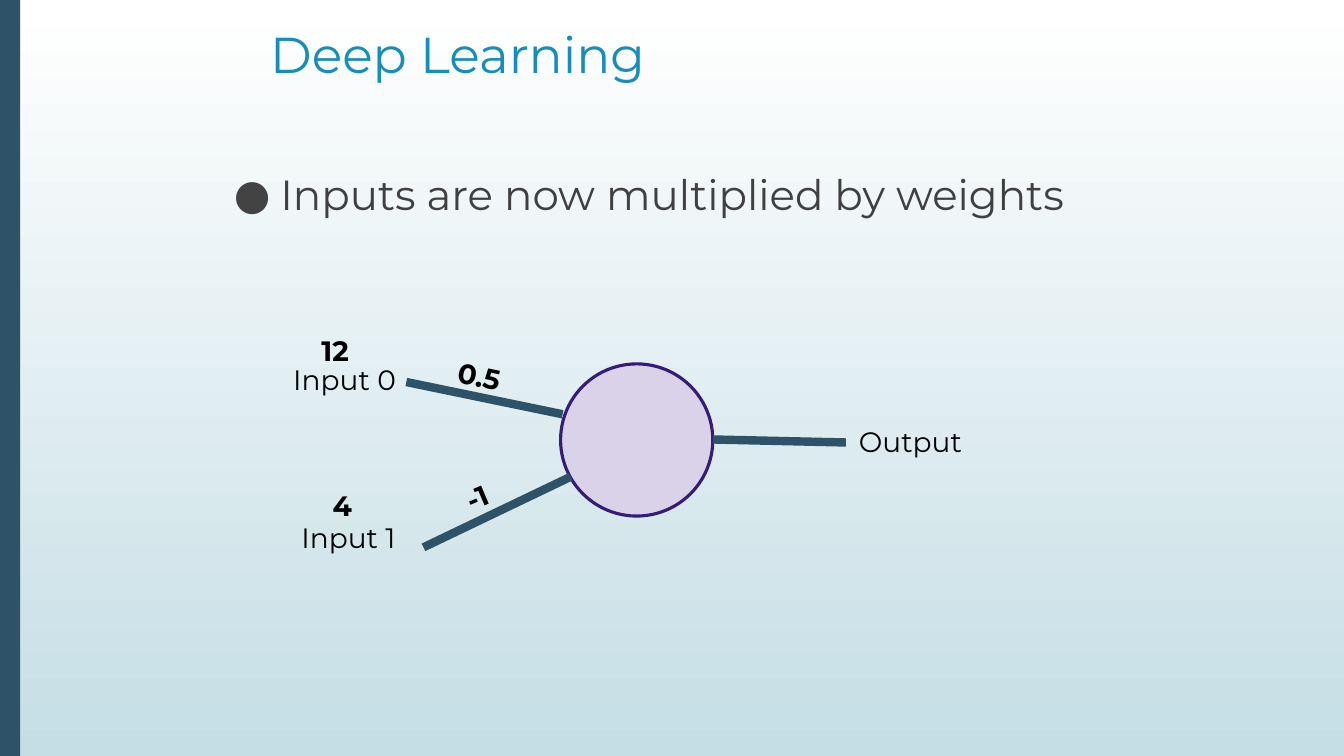
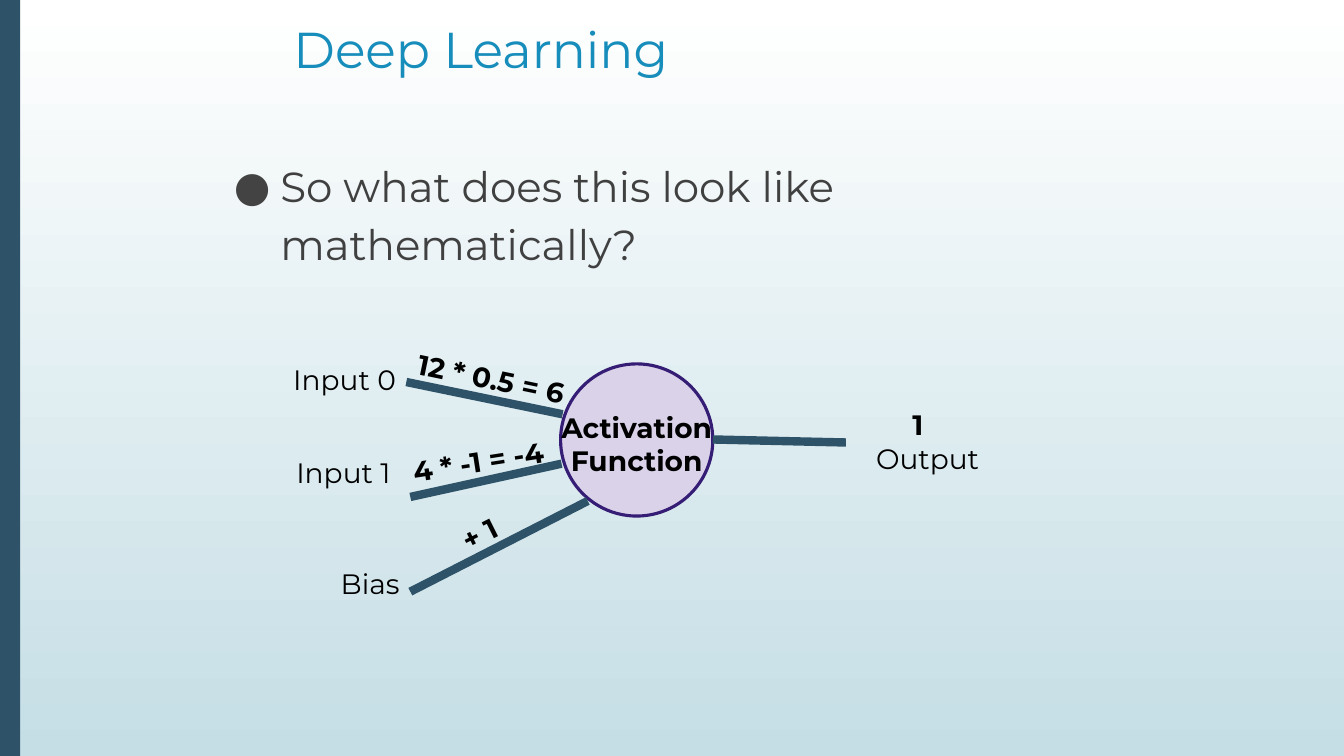
from dataclasses import dataclass

from lxml.etree import SubElement
from pptx import Presentation
from pptx.dml.color import RGBColor
from pptx.enum.shapes import MSO_CONNECTOR, MSO_SHAPE
from pptx.enum.text import MSO_ANCHOR, MSO_AUTO_SIZE, PP_ALIGN
from pptx.oxml.ns import qn
from pptx.presentation import Presentation as Deck
from pptx.shapes.base import BaseShape
from pptx.slide import Slide
from pptx.text.text import TextFrame
from pptx.util import Emu, Pt

SCALE = 9144  # EMU in one px, 100 px to the inch
WIDTH, HEIGHT = 1333, 750


@dataclass(frozen=True)
class Theme:
    font: str = "Montserrat"
    top: str = "FFFFFF"
    base: str = "C5DEE5"
    band: str = "2E5369"
    title: str = "178DBB"
    body: str = "404040"
    bullet: str = "434343"
    label: str = "000000"
    node: str = "D9D2E9"
    rim: str = "351C75"
    title_size: int = 36
    body_size: int = 30
    label_size: int = 20
    rim_width: float = 2.25
    link_width: float = 6


@dataclass(frozen=True)
class Box:
    x: int
    y: int
    w: int
    h: int


@dataclass(frozen=True)
class Link:
    x1: int
    y1: int
    x2: int
    y2: int


@dataclass(frozen=True)
class Label:
    text: str
    x: int
    y: int
    w: int = 228
    bold: bool = False
    turn: float = 0
    align: PP_ALIGN = PP_ALIGN.LEFT


@dataclass(frozen=True)
class Page:
    title: Box
    body: Box
    point: str
    links: tuple[Link, ...]
    labels: tuple[Label, ...]


THEME = Theme()
BAND = Box(0, 0, 20, HEIGHT)
NODE = Box(556, 361, 151, 151)
LABEL_H = 67

# Parts of the neuron that both slides show
LINKS = (Link(558, 411, 403, 379), Link(839, 439, 707, 436))
LABELS = (Label("Input 0", 281, 350),)

PAGES = (
    Page(
        title=Box(258, 13, 852, 63),
        body=Box(201, 150, 932, 441),
        point="Inputs are now multiplied by weights",
        links=(Link(566, 473, 420, 543),),
        labels=(
            Label("Input 1", 289, 506),
            Label("Output", 842, 411),
            Label("0.5", 442, 355, 151, bold=True, turn=11.8),
            Label("-1", 451, 444, 151, bold=True, turn=337),
            Label("12", 309, 321, 59, bold=True),
            Label("4", 320, 475, 48, bold=True),
        ),
    ),
    Page(
        title=Box(281, 8, 852, 63),
        body=Box(201, 142, 932, 449),
        point="So what does this look like mathematically?",
        links=(Link(557, 460, 407, 493), Link(583, 497, 407, 587)),
        labels=(
            Label("Input 1", 284, 442),
            Label("Activation\nFunction", 544, 397, 175, bold=True,
                  align=PP_ALIGN.CENTER),
            Label("12 * 0.5 = 6", 402, 350, 181, bold=True, turn=11.8),
            Label("4 * -1 = -4", 400, 428, 186, bold=True, turn=351.1),
            Label("Output", 859, 428),
            Label("1", 895, 394, 131, bold=True),
            Label("Bias", 328, 552),
            Label("+ 1", 444, 473, 186, bold=True, turn=333.5),
        ),
    ),
)


def px(num: int) -> Emu:
    return Emu(num * SCALE)


def rgb(code: str) -> RGBColor:
    return RGBColor.from_string(code)


def place(shape: BaseShape, box: Box) -> None:
    shape.left, shape.top = px(box.x), px(box.y)
    shape.width, shape.height = px(box.w), px(box.h)


def write(frame: TextFrame, text: str, *, size: int, color: str,
          bold: bool = False, align: PP_ALIGN = PP_ALIGN.LEFT,
          space: float = 1.0) -> None:
    """Fill a frame with one paragraph for each line of the text."""
    frame.word_wrap = True
    frame.auto_size = MSO_AUTO_SIZE.NONE
    frame.vertical_anchor = MSO_ANCHOR.TOP
    frame.margin_left = frame.margin_right = px(10)
    frame.margin_top = frame.margin_bottom = px(10)
    frame.text = text
    for para in frame.paragraphs:
        para.alignment = align
        para.line_spacing = space
        para.space_before = Pt(0)
        for run in para.runs:
            run.font.name = THEME.font
            run.font.size = Pt(size)
            run.font.bold = bold
            run.font.color.rgb = rgb(color)


def add_dot(frame: TextFrame) -> None:
    """Give the first paragraph a round bullet and a hanging indent."""
    props = frame.paragraphs[0]._p.get_or_add_pPr()
    props.set("marL", str(px(67)))
    props.set("indent", str(px(-46)))
    tint = SubElement(props, qn("a:buClr"))
    SubElement(tint, qn("a:srgbClr"), val=THEME.bullet)
    SubElement(props, qn("a:buFont"), typeface=THEME.font)
    SubElement(props, qn("a:buChar"), char="●")


def add_shape(slide: Slide, kind: MSO_SHAPE, box: Box, fill: str) -> BaseShape:
    shape = slide.shapes.add_shape(kind, 0, 0, 0, 0)
    place(shape, box)
    shape.shadow.inherit = False
    shape.fill.solid()
    shape.fill.fore_color.rgb = rgb(fill)
    shape.line.fill.background()
    return shape


def add_band(slide: Slide) -> None:
    add_shape(slide, MSO_SHAPE.RECTANGLE, BAND, THEME.band)


def add_node(slide: Slide) -> None:
    node = add_shape(slide, MSO_SHAPE.OVAL, NODE, THEME.node)
    node.line.color.rgb = rgb(THEME.rim)
    node.line.width = Pt(THEME.rim_width)


def add_link(slide: Slide, link: Link) -> None:
    line = slide.shapes.add_connector(
        MSO_CONNECTOR.STRAIGHT,
        px(link.x1), px(link.y1), px(link.x2), px(link.y2))
    line.line.color.rgb = rgb(THEME.band)
    line.line.width = Pt(THEME.link_width)
    SubElement(line.element.spPr, qn("a:effectLst"))


def add_label(slide: Slide, label: Label) -> None:
    box = slide.shapes.add_textbox(0, 0, 0, 0)
    place(box, Box(label.x, label.y, label.w, LABEL_H))
    box.rotation = label.turn
    write(box.text_frame, label.text, size=THEME.label_size,
          color=THEME.label, bold=label.bold, align=label.align)


def add_page(deck: Deck, page: Page) -> None:
    slide = deck.slides.add_slide(deck.slide_layouts[1])
    add_band(slide)
    title, body = slide.placeholders
    place(title, page.title)
    write(title.text_frame, "Deep Learning",
          size=THEME.title_size, color=THEME.title)
    place(body, page.body)
    write(body.text_frame, page.point, size=THEME.body_size,
          color=THEME.body, space=1.15)
    add_dot(body.text_frame)
    add_node(slide)
    for link in LINKS + page.links:
        add_link(slide, link)
    for label in LABELS + page.labels:
        add_label(slide, label)


def set_back(deck: Deck) -> None:
    """Give the slide master a gradient that runs downward."""
    fill = deck.slide_master.background.fill
    fill.gradient()
    fill.gradient_angle = 270
    for stop, code in zip(fill.gradient_stops, (THEME.top, THEME.base)):
        stop.color.rgb = rgb(code)


def main() -> None:
    deck = Presentation()
    deck.slide_width, deck.slide_height = px(WIDTH), px(HEIGHT)
    set_back(deck)
    for page in PAGES:
        add_page(deck, page)
    deck.save("out.pptx")


if __name__ == "__main__":
    main()
